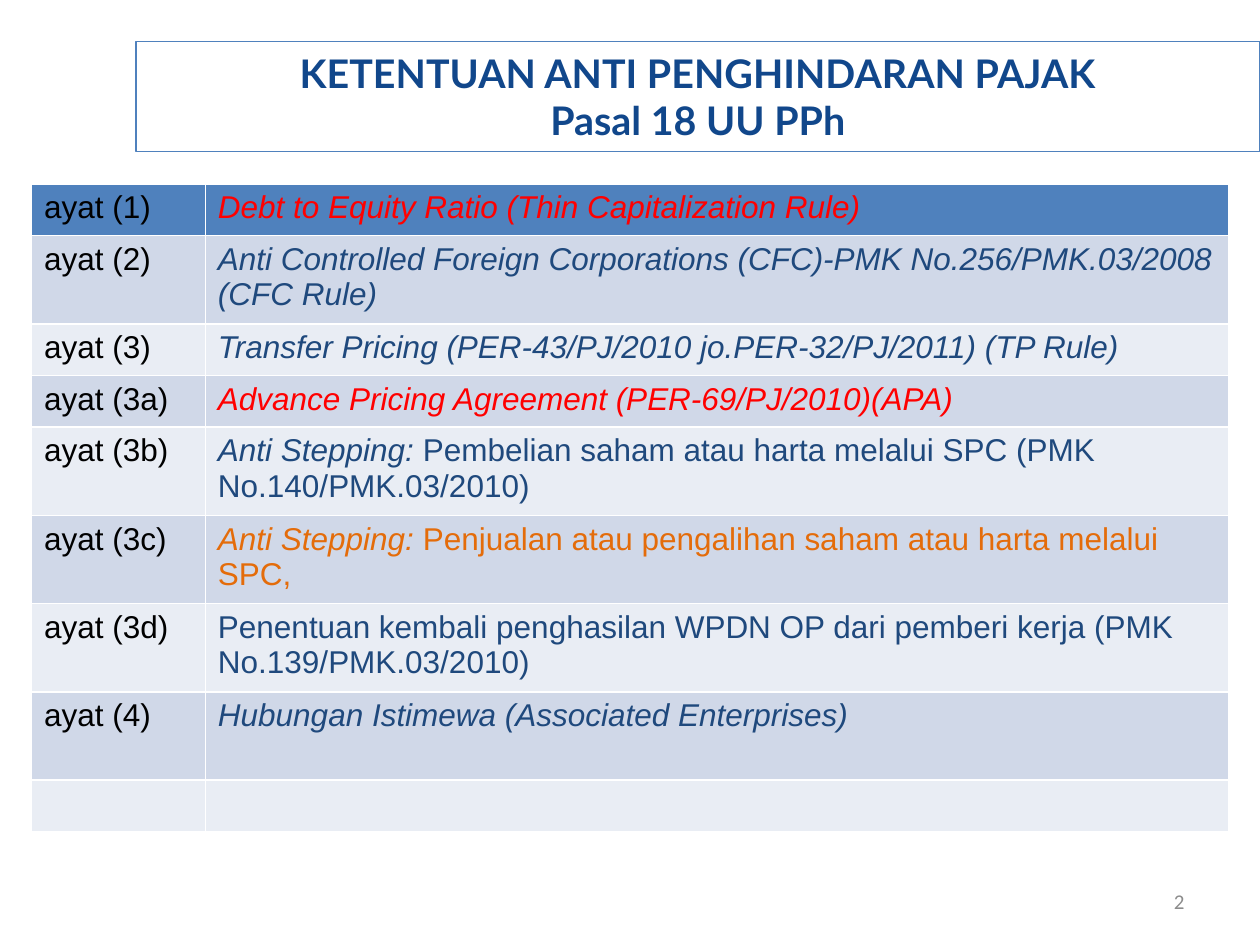
from pptx import Presentation
from pptx.dml.color import RGBColor
from pptx.enum.text import MSO_ANCHOR, MSO_AUTO_SIZE, PP_ALIGN
from pptx.util import Inches, Pt

BLACK = RGBColor(0x00, 0x00, 0x00)
RED = RGBColor(0xFF, 0x00, 0x00)
NAVY = RGBColor(0x1F, 0x49, 0x7D)
ORANGE = RGBColor(0xE4, 0x6C, 0x0A)
TITLE_BLUE = RGBColor(0x11, 0x47, 0x8B)
HEADER_BLUE = RGBColor(0x4F, 0x81, 0xBD)
BAND_DARK = RGBColor(0xD0, 0xD8, 0xE8)
BAND_LIGHT = RGBColor(0xE9, 0xED, 0xF4)
GRAY = RGBColor(0x8C, 0x8C, 0x8C)

COLUMN_WIDTHS = (1.38, 8.12)
SHORT_ROW, TALL_ROW = 0.41, 0.7

# Label, italic text, upright text, text colour, row height
ARTICLES = [
    ("ayat (1)", "Debt to Equity Ratio (Thin Capitalization Rule)", "", RED, SHORT_ROW),
    ("ayat (2)", "Anti Controlled Foreign Corporations (CFC)-PMK No.256/PMK.03/2008 (CFC Rule)",
     "", NAVY, TALL_ROW),
    ("ayat (3)", "Transfer Pricing (PER-43/PJ/2010 jo.PER-32/PJ/2011) (TP Rule)",
     "", NAVY, SHORT_ROW),
    ("ayat (3a)", "Advance Pricing Agreement (PER-69/PJ/2010)(APA)", "", RED, SHORT_ROW),
    ("ayat (3b)", "Anti Stepping: ",
     "Pembelian saham atau harta melalui SPC (PMK No.140/PMK.03/2010)", NAVY, TALL_ROW),
    ("ayat (3c)", "Anti Stepping: ",
     "Penjualan atau pengalihan saham atau harta melalui SPC,", ORANGE, SHORT_ROW),
    ("ayat (3d)", "",
     "Penentuan kembali penghasilan WPDN OP dari pemberi kerja (PMK No.139/PMK.03/2010)",
     NAVY, TALL_ROW),
    ("ayat (4)", "Hubungan Istimewa (Associated Enterprises)", "", NAVY, TALL_ROW),
    ("", "", "", NAVY, SHORT_ROW),
]


def style_font(font, name, size, color, bold=False, italic=False):
    font.name = name
    font.size = Pt(size)
    font.color.rgb = color
    font.bold = bold
    font.italic = italic


def set_title(slide):
    title = slide.shapes.title
    title.left, title.top = Inches(1.08), Inches(0.33)
    title.width, title.height = Inches(8.92), Inches(0.87)
    title.line.color.rgb = HEADER_BLUE
    title.line.width = Pt(0.75)
    frame = title.text_frame
    frame.auto_size = MSO_AUTO_SIZE.NONE
    frame.vertical_anchor = MSO_ANCHOR.MIDDLE
    paragraph = frame.paragraphs[0]
    paragraph.text = "KETENTUAN ANTI PENGHINDARAN PAJAK\vPasal 18 UU PPh"
    paragraph.alignment = PP_ALIGN.CENTER
    style_font(paragraph.font, "Lato", 22.5, TITLE_BLUE, bold=True)


def fill_cell(cell, fill_color, runs):
    """Write (text, colour, italic) runs into a cell, skipping empty ones."""
    cell.fill.solid()
    cell.fill.fore_color.rgb = fill_color
    paragraph = cell.text_frame.paragraphs[0]
    for text, color, italic in runs:
        if text:
            run = paragraph.add_run()
            run.text = text
            style_font(run.font, "Arial", 18, color, italic=italic)


def add_article_table(slide):
    height = sum(article[-1] for article in ARTICLES)
    table = slide.shapes.add_table(
        len(ARTICLES), len(COLUMN_WIDTHS),
        Inches(0.25), Inches(1.46), Inches(sum(COLUMN_WIDTHS)), Inches(height),
    ).table
    for column, width in zip(table.columns, COLUMN_WIDTHS):
        column.width = Inches(width)
    for index, (label, italic_text, upright_text, color, row_height) in enumerate(ARTICLES):
        table.rows[index].height = Inches(row_height)
        band = BAND_DARK if index % 2 else BAND_LIGHT
        fill_color = band if index else HEADER_BLUE
        fill_cell(table.cell(index, 0), fill_color, [(label, BLACK, False)])
        fill_cell(table.cell(index, 1), fill_color,
                  [(italic_text, color, True), (upright_text, color, False)])


def add_page_number(slide, number):
    box = slide.shapes.add_textbox(Inches(7.17), Inches(6.95), Inches(2.33), Inches(0.4))
    frame = box.text_frame
    frame.word_wrap = True
    frame.vertical_anchor = MSO_ANCHOR.MIDDLE
    paragraph = frame.paragraphs[0]
    paragraph.text = str(number)
    paragraph.alignment = PP_ALIGN.RIGHT
    style_font(paragraph.font, "Calibri", 12, GRAY)


def main():
    presentation = Presentation()
    presentation.slide_width = Inches(10)
    presentation.slide_height = Inches(7.5)
    slide = presentation.slides.add_slide(presentation.slide_layouts.get_by_name("Title Only"))
    add_page_number(slide, 2)
    set_title(slide)
    add_article_table(slide)
    presentation.save("out.pptx")


if __name__ == "__main__":
    main()
